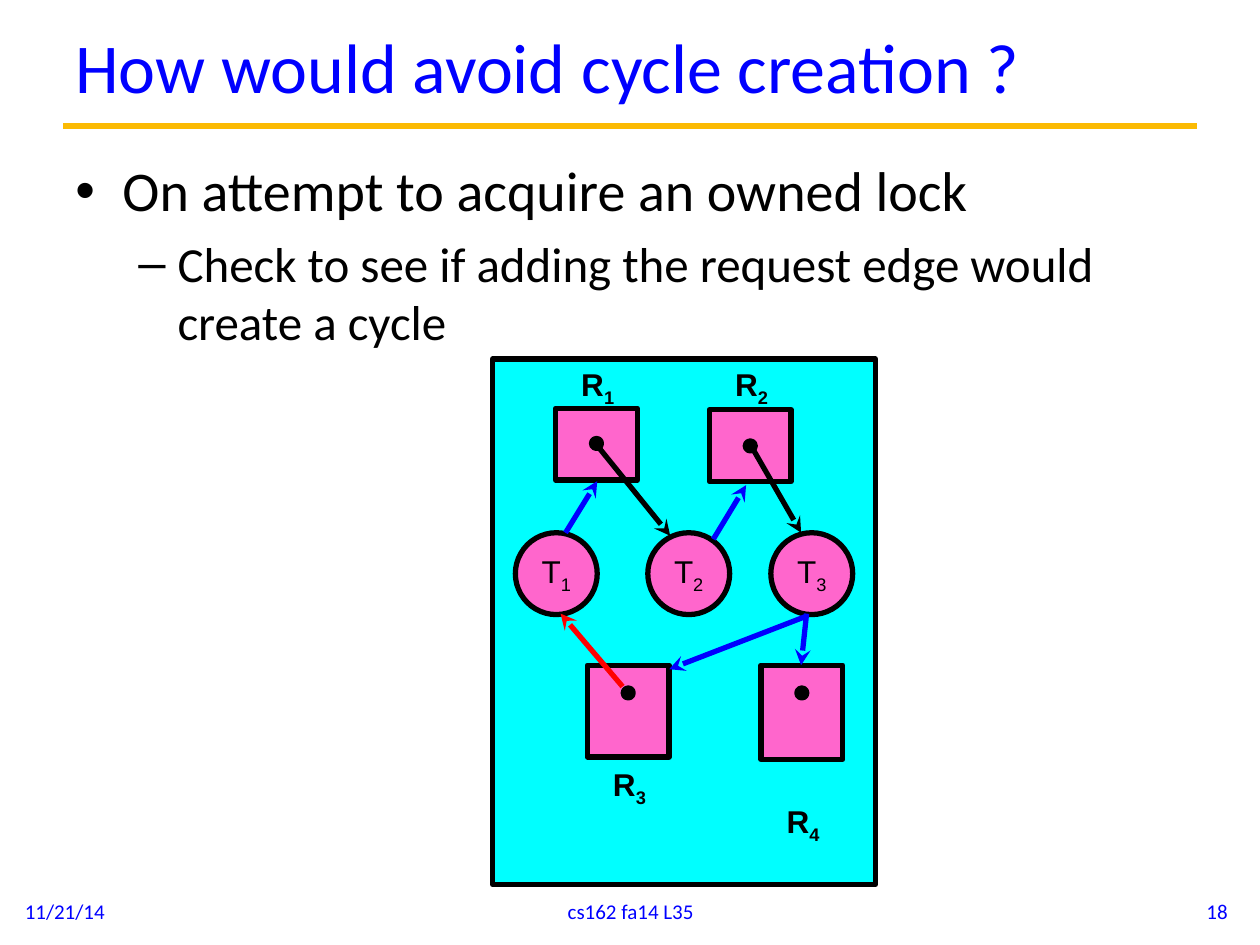
from lxml import etree
from pptx import Presentation, util as u
from pptx.dml.color import RGBColor
from pptx.enum import shapes, text
from pptx.oxml.ns import qn

Cm, Pt = u.Cm, u.Pt
COLORS = {
    "blue": "0000FF", "black": "000000", "red": "FF0000",
    "gold": "FBBA03", "cyan": "00FFFF", "pink": "FF66CC",
}
RECT, OVAL = shapes.MSO_SHAPE.RECTANGLE, shapes.MSO_SHAPE.OVAL
LEFT, CENTER, RIGHT = (text.PP_ALIGN.LEFT, text.PP_ALIGN.CENTER,
                       text.PP_ALIGN.RIGHT)
TOP, MIDDLE = text.MSO_ANCHOR.TOP, text.MSO_ANCHOR.MIDDLE
NODE = 1.65  # width of every thread and resource
DOT = 0.2


def rgb(name):
    return RGBColor.from_string(COLORS[name])


def add_run(p, words, size, font="Calibri", color="black", bold=False):
    r = p.add_run()
    r.text = words
    r.font.size, r.font.name, r.font.bold = Pt(size), font, bold
    r.font.color.rgb = rgb(color)
    return r


def add_box(s, x, y, w, h, anchor=MIDDLE, wrap=True):
    tf = s.shapes.add_textbox(Cm(x), Cm(y), Cm(w), Cm(h)).text_frame
    tf.word_wrap, tf.vertical_anchor = wrap, anchor
    return tf


def add_text(s, x, y, w, h, words, size, align=LEFT):
    p = add_box(s, x, y, w, h).paragraphs[0]
    p.alignment = align
    add_run(p, words, size, color="blue")


def add_bullet(p, char, words, size, margin, indent):
    pPr = p._p.get_or_add_pPr()
    pPr.set("marL", str(Cm(margin)))
    pPr.set("indent", str(Cm(-indent)))
    etree.SubElement(pPr, qn("a:buFont")).set("typeface", "Arial")
    etree.SubElement(pPr, qn("a:buChar")).set("char", char)
    add_run(p, words, size)


def add_subscripted(tf, letter, number, bold=False):
    p = tf.paragraphs[0]
    p.alignment = CENTER
    add_run(p, letter, 18, "Arial", bold=bold)
    r = add_run(p, str(number), 18, "Arial", bold=bold)
    r._r.get_or_add_rPr().set("baseline", "-25000")


def add_figure(s, kind, x, y, w, h, fill):
    sp = s.shapes.add_shape(kind, Cm(x), Cm(y), Cm(w), Cm(h))
    sp.shadow.inherit = False
    sp.fill.solid()
    sp.fill.fore_color.rgb = rgb(fill)
    sp.line.color.rgb, sp.line.width = rgb("black"), Pt(3)
    return sp


def add_line(s, start, end, color, width=3, arrow=True):
    ends = [Cm(v) for v in (*start, *end)]
    sp = s.shapes.add_connector(shapes.MSO_CONNECTOR.STRAIGHT, *ends)
    sp.line.color.rgb, sp.line.width = rgb(color), Pt(width)
    if arrow:
        ln = sp.line._get_or_add_ln()
        etree.SubElement(ln, qn("a:tailEnd")).set("type", "stealth")
    etree.SubElement(sp._element.spPr, qn("a:effectLst"))


def add_thread(s, number, x):
    tf = add_figure(s, OVAL, x, 10.74, NODE, NODE, "pink").text_frame
    tf.word_wrap, tf.vertical_anchor = False, MIDDLE
    add_subscripted(tf, "T", number)


def add_resource(s, number, x, y, h, dot_y, label_y):
    add_figure(s, RECT, x, y, NODE, h, "pink")
    add_figure(s, OVAL, x + (NODE - DOT) / 2, dot_y, DOT, DOT, "black")
    tf = add_box(s, x + 0.24, label_y, 1.22, 1.02, TOP, wrap=False)
    add_subscripted(tf, "R", number, bold=True)


def main():
    prs = Presentation()
    prs.slide_width, prs.slide_height = Cm(25.4), Cm(19.05)
    s = prs.slides.add_slide(prs.slide_layouts[6])

    # Title and rule
    add_line(s, (1.27, 2.54), (24.13, 2.54), "gold", 3.75, arrow=False)
    add_text(s, 1.27, 0.1, 22.86, 2.44, "How would avoid cycle creation ?", 40)

    # Footer
    for x, w, words, align in [(0.25, 5.92, "11/21/14", LEFT),
                               (8.69, 8.05, "cs162 fa14 L35", CENTER),
                               (19.08, 5.92, "18", RIGHT)]:
        add_text(s, x, 17.86, w, 1.02, words, 12, align)

    # Bullets
    tf = add_box(s, 1.27, 3.02, 22.86, 4.67, TOP)
    add_bullet(tf.paragraphs[0], "•", "On attempt to acquire an owned lock",
               32, 0.95, 0.95)
    p = tf.add_paragraph()
    p.space_before = Pt(5.6)
    add_bullet(p, "–", "Check to see if adding the request edge would "
               "create a cycle", 28, 2.06, 0.79)

    # Resource allocation graph: panel, threads, resources
    add_figure(s, RECT, 9.93, 7.24, 7.72, 10.59, "cyan")
    for number, x in enumerate([10.39, 13.06, 15.54], 1):
        add_thread(s, number, x)
    resources = [  # x, y, height, dot y, label y
        (11.2, 8.23, 1.45, 8.84, 7.24),
        (14.3, 8.26, 1.45, 8.89, 7.24),
        (11.84, 13.41, 1.85, 13.87, 15.29),
        (15.34, 13.41, 1.9, 13.87, 16.05),
    ]
    for number, place in enumerate(resources, 1):
        add_resource(s, number, *place)

    # Edges: requests blue, ownership black, cycle-closing red
    for start, end, color in [
        ((11.4, 10.74), (12.04, 9.7), "blue"),
        ((12.07, 9.02), (13.51, 10.8), "black"),
        ((14.38, 10.87), (15.04, 9.78), "blue"),
        ((15.16, 9.02), (16.15, 10.74), "black"),
        ((16.26, 12.37), (16.15, 13.41), "blue"),
        ((16.26, 12.42), (13.49, 13.49), "blue"),
        ((12.55, 13.84), (11.3, 12.37), "red"),
    ]:
        add_line(s, start, end, color)

    prs.save("out.pptx")


if __name__ == "__main__":
    main()
